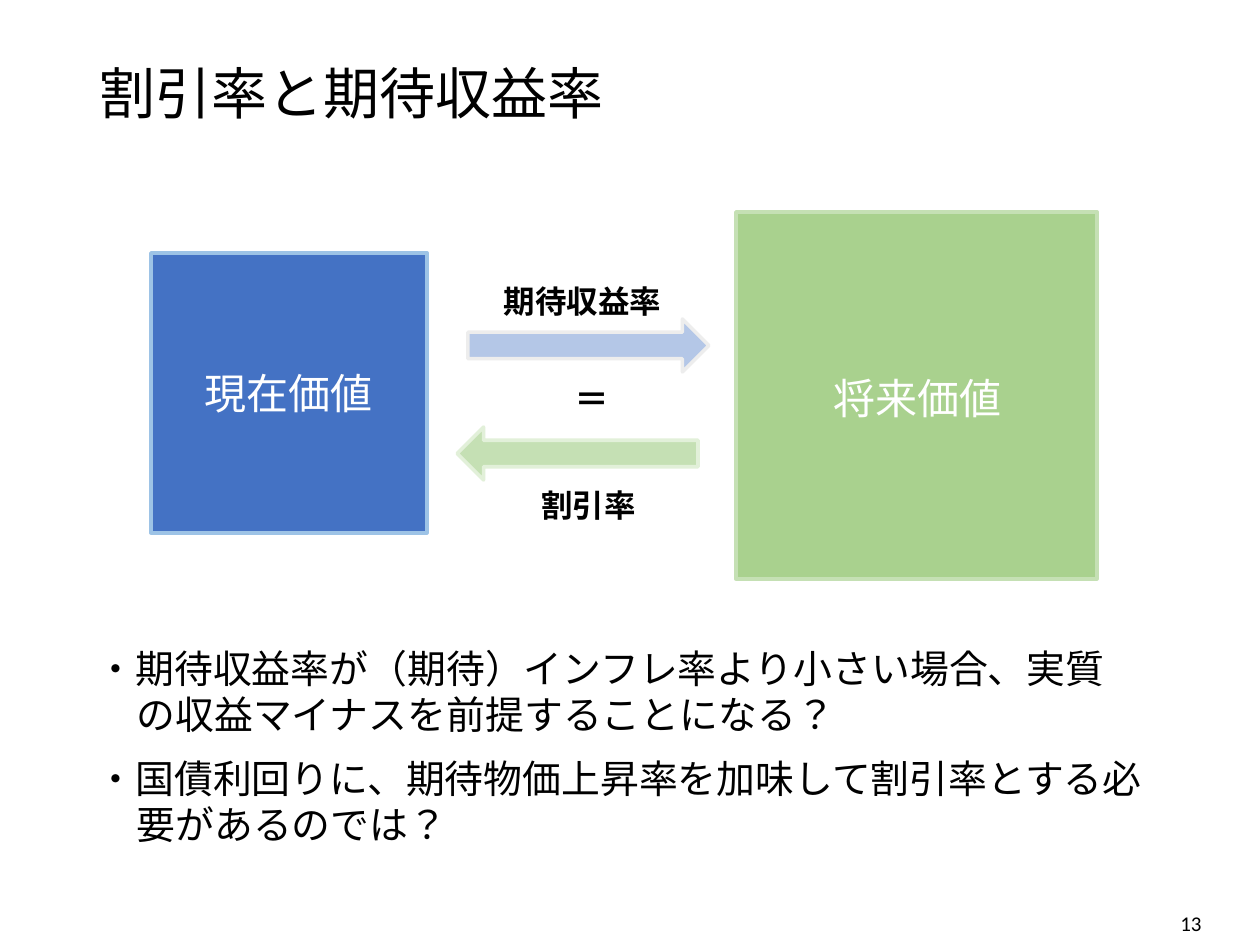
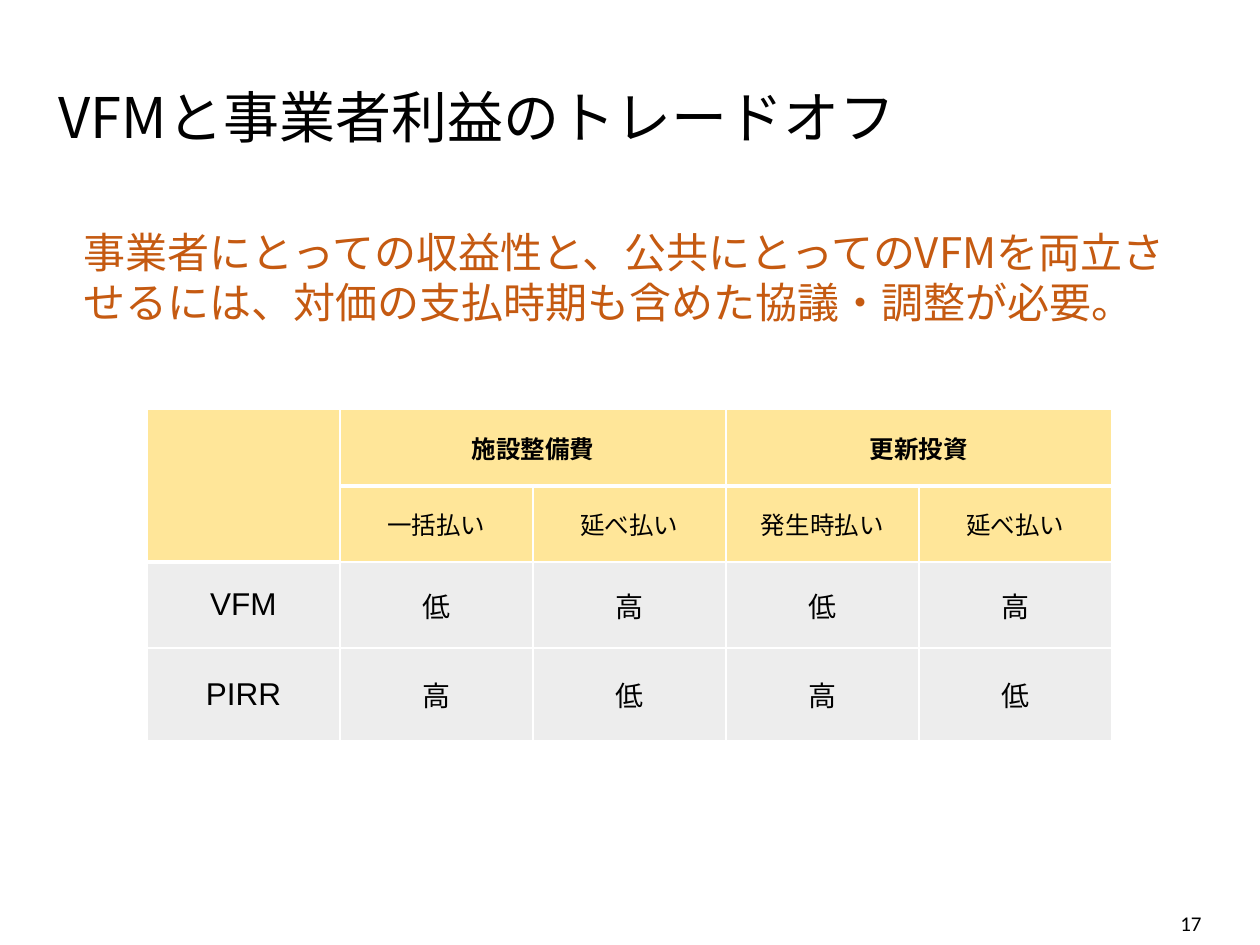
from dataclasses import dataclass

from pptx import Presentation
from pptx.dml.color import RGBColor
from pptx.enum.shapes import MSO_SHAPE
from pptx.enum.text import MSO_ANCHOR, MSO_AUTO_SIZE, PP_ALIGN
from pptx.oxml.ns import qn
from pptx.util import Emu, Pt
from lxml import etree

RECTANGLE = MSO_SHAPE.RECTANGLE
ARROW = MSO_SHAPE.RIGHT_ARROW
LEFT, CENTER, RIGHT = PP_ALIGN.LEFT, PP_ALIGN.CENTER, PP_ALIGN.RIGHT
TOP, MIDDLE = MSO_ANCHOR.TOP, MSO_ANCHOR.MIDDLE
NO_AUTOFIT = MSO_AUTO_SIZE.NONE
PX_PER_INCH = 126
TITLE_AND_BODY, TITLE_ONLY = 1, 5


@dataclass(frozen=True)
class Theme:
    text: str = "000000"
    white: str = "FFFFFF"
    accent: str = "C55A11"
    present: str = "4472C4"
    present_edge: str = "9DC3E6"
    future: str = "A9D18E"
    future_edge: str = "C5E0B4"
    return_arrow: str = "B4C7E7"
    return_edge: str = "EDEDED"
    discount_arrow: str = "C5E0B4"
    discount_edge: str = "E2F0D9"
    table_head: str = "FFE699"
    table_body: str = "EDEDED"
    latin: str = "Calibri"
    sans: str = "Arial"
    japanese: str = "Noto Sans CJK JP"
    title_size: float = 32
    lead_size: float = 24
    body_size: float = 22.2
    sign_size: float = 20
    label_size: float = 18
    value_size: float = 16
    head_size: float = 14
    number_size: float = 12


THEME = Theme()


def px(length):
    return Emu(round(length * 914400 / PX_PER_INCH))


def color(value):
    return RGBColor.from_string(value)


def place(shape, box):
    shape.left, shape.top, shape.width, shape.height = map(px, box)


def add_run(paragraph, text, size, font, fill=THEME.text, bold=False,
            east_asian=THEME.japanese):
    run = paragraph.add_run()
    run.text = text
    run.font.size = Pt(size)
    run.font.name = font
    run.font.bold = bold
    run.font.color.rgb = color(fill)
    properties = run._r.get_or_add_rPr()
    properties.set("lang", "ja-JP")
    etree.SubElement(properties, qn("a:ea")).set("typeface", east_asian)


def prepare_frame(shape, anchor, wrap=True):
    frame = shape.text_frame
    frame.auto_size = NO_AUTOFIT
    frame.word_wrap = wrap
    frame.vertical_anchor = anchor
    return frame


def write_line(shape, text, size, font, align=CENTER, anchor=MIDDLE,
               fill=THEME.text, bold=False, wrap=True, spacing=None):
    paragraph = prepare_frame(shape, anchor, wrap).paragraphs[0]
    paragraph.alignment = align
    paragraph.line_spacing = spacing
    add_run(paragraph, text, size, font, fill, bold)


def add_text(slide, box, text, size, font, **style):
    shape = slide.shapes.add_textbox(*map(px, box))
    write_line(shape, text, size, font, **style)


def add_label(slide, box, text, size=THEME.label_size):
    add_text(slide, box, text, size, THEME.sans, bold=True, wrap=False)


def add_block(slide, kind, box, fill, edge, rotation=0):
    shape = slide.shapes.add_shape(kind, *map(px, box))
    shape.shadow.inherit = False
    shape.rotation = rotation
    shape.fill.solid()
    shape.fill.fore_color.rgb = color(fill)
    shape.line.color.rgb = color(edge)
    shape.line.width = Pt(2)
    return shape


def add_titled_slide(presentation, layout, title, box, font, number):
    slide = presentation.slides.add_slide(presentation.slide_layouts[layout])
    place(slide.shapes.title, box)
    write_line(slide.shapes.title, title, THEME.title_size, font,
               align=LEFT, spacing=0.9)
    add_text(slide, (930, 898, 284, 50), number, THEME.number_size,
             THEME.latin, align=RIGHT)
    return slide


def fill_body(slide, box, items):
    body = slide.placeholders[1]
    place(body, box)
    frame = prepare_frame(body, TOP)
    for index, item in enumerate(items):
        paragraph = frame.add_paragraph() if index else frame.paragraphs[0]
        paragraph.line_spacing = Pt(26.4)
        paragraph.space_before = Pt(10 if index else 0)
        properties = paragraph._p.get_or_add_pPr()
        properties.set("marL", str(px(55)))
        properties.set("indent", str(px(-40)))
        etree.SubElement(properties, qn("a:buNone"))
        add_run(paragraph, item, THEME.body_size, THEME.latin,
                east_asian=THEME.latin)


def set_borders(cell, widths):
    properties = cell._tc.get_or_add_tcPr()
    for side, width in widths.items():
        line = etree.SubElement(properties, qn(f"a:ln{side}"), w=str(Pt(width)))
        solid = etree.SubElement(line, qn("a:solidFill"))
        etree.SubElement(solid, qn("a:srgbClr"), val=THEME.white)


def cell_style(row, column):
    if row < 2:
        return THEME.head_size, THEME.sans, row == 0
    if column == 0:
        return THEME.label_size, THEME.sans, False
    return THEME.value_size, THEME.japanese, False


def add_payment_table(slide, left, top, column_width, row_heights, rows):
    columns = len(rows[0])
    frame = slide.shapes.add_table(
        len(rows), columns, px(left), px(top),
        px(column_width * columns), px(sum(row_heights)))
    table = frame.table
    table.first_row = table.horz_banding = False
    for column in table.columns:
        column.width = px(column_width)
    for row, height in zip(table.rows, row_heights):
        row.height = px(height)
    for row, texts in enumerate(rows):
        for column, text in enumerate(texts):
            cell = table.cell(row, column)
            heavy_row = 1 if column == 0 else 0
            set_borders(cell, {
                "L": 1, "R": 1,
                "T": 3 if row == heavy_row + 1 else 1,
                "B": 3 if row <= heavy_row else 1})
            cell.fill.solid()
            cell.fill.fore_color.rgb = color(
                THEME.table_head if row < 2 else THEME.table_body)
            cell.vertical_anchor = MIDDLE
            if text:
                paragraph = cell.text_frame.paragraphs[0]
                paragraph.alignment = CENTER
                size, font, bold = cell_style(row, column)
                add_run(paragraph, text, size, font, bold=bold)
    table.cell(0, 0).merge(table.cell(1, 0))
    for column in (1, 3):
        table.cell(0, column).merge(table.cell(0, column + 1))


def build_discount_slide(presentation):
    slide = add_titled_slide(presentation, TITLE_AND_BODY, "割引率と期待収益率",
                             (87, 50, 590, 93), THEME.latin, "13")
    fill_body(slide, (69, 639, 1086, 224), [
        "・期待収益率が（期待）インフレ率より小さい場合、実質の収益マイナスを前提することになる？",
        "・国債利回りに、期待物価上昇率を加味して割引率とする必要があるのでは？",
    ])
    present = add_block(slide, RECTANGLE, (151, 253, 276, 280),
                        THEME.present, THEME.present_edge)
    write_line(present, "現在価値", THEME.lead_size, THEME.sans, fill=THEME.white)
    add_block(slide, RECTANGLE, (736, 212, 361, 367),
              THEME.future, THEME.future_edge)
    add_block(slide, ARROW, (468, 319, 241, 53),
              THEME.return_arrow, THEME.return_edge)
    add_block(slide, ARROW, (457, 427, 241, 53),
              THEME.discount_arrow, THEME.discount_edge, rotation=180)
    add_text(slide, (780, 258, 276, 280), "将来価値", THEME.lead_size,
             THEME.sans, fill=THEME.white)
    add_label(slide, (490, 276, 185, 50), "期待収益率")
    add_label(slide, (528, 480, 121, 50), "割引率")
    add_label(slide, (562, 371, 60, 55), "＝", THEME.sign_size)


def build_tradeoff_slide(presentation):
    slide = add_titled_slide(presentation, TITLE_ONLY,
                             "VFMと事業者利益のトレードオフ",
                             (46, 68, 1086, 105), THEME.japanese, "17")
    add_payment_table(slide, 147, 409, 193, (77, 76, 86, 93), [
        ["", "施設整備費", "", "更新投資", ""],
        ["", "一括払い", "延べ払い", "発生時払い", "延べ払い"],
        ["VFM", "低", "高", "低", "高"],
        ["PIRR", "高", "低", "高", "低"],
    ])
    add_text(slide, (71, 220, 1131, 115),
             "事業者にとっての収益性と、公共にとってのVFMを両立させるには、"
             "対価の支払時期も含めた協議・調整が必要。",
             THEME.lead_size, THEME.japanese, align=LEFT, anchor=TOP,
             fill=THEME.accent, spacing=Pt(28.8))


def main():
    presentation = Presentation()
    presentation.slide_width = px(1260)
    presentation.slide_height = px(945)
    build_discount_slide(presentation)
    build_tradeoff_slide(presentation)
    presentation.save("out.pptx")


if __name__ == "__main__":
    main()
